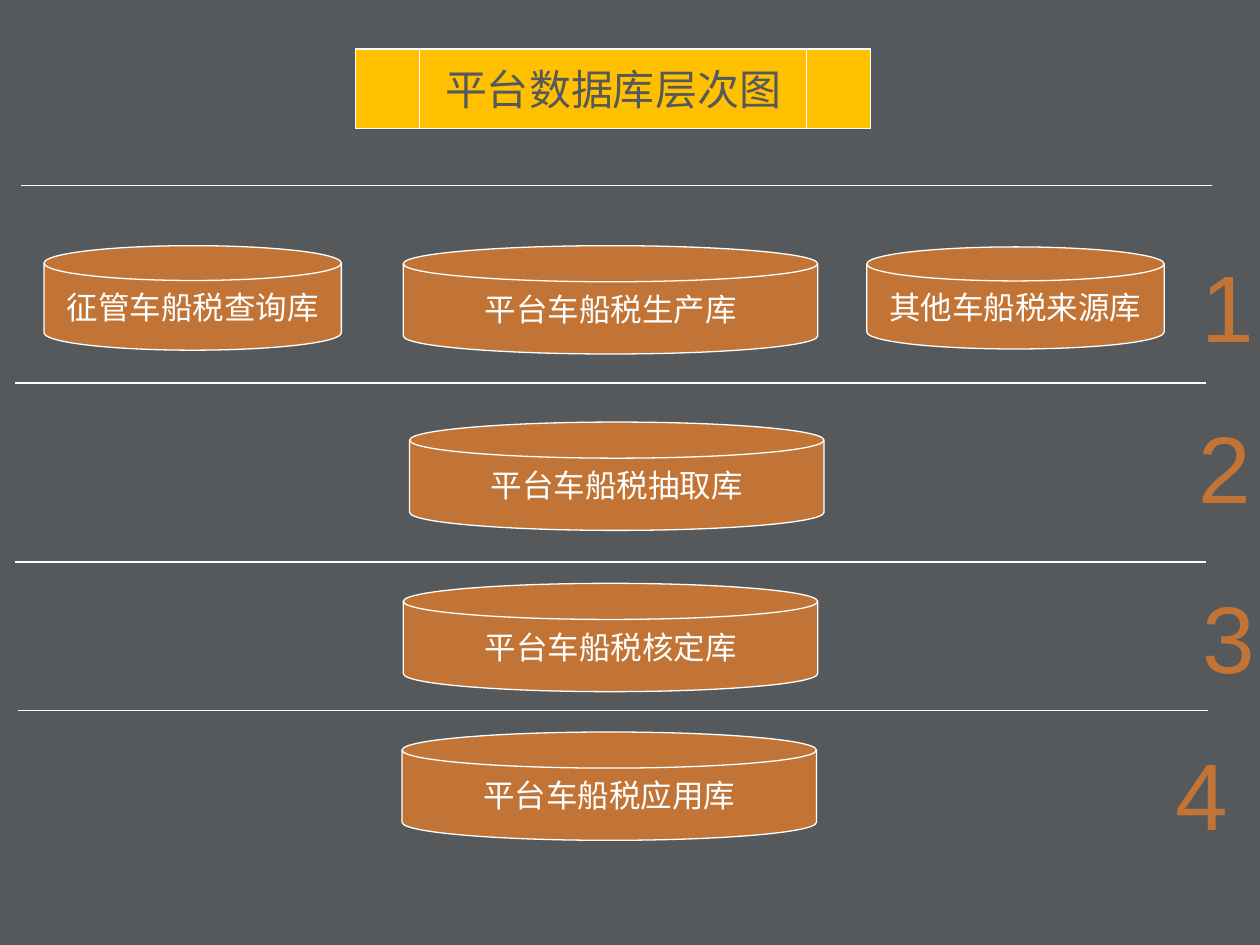
from lxml import etree
from pptx import Presentation
from pptx.dml.color import RGBColor
from pptx.enum.shapes import MSO_CONNECTOR, MSO_SHAPE
from pptx.enum.text import MSO_ANCHOR, MSO_AUTO_SIZE, PP_ALIGN
from pptx.oxml.ns import qn
from pptx.util import Inches, Pt

GREY = RGBColor(0x55, 0x59, 0x5B)
GOLD = RGBColor(0xFF, 0xC0, 0x00)
ORANGE = RGBColor(0xC1, 0x74, 0x35)
WHITE = RGBColor(0xFF, 0xFF, 0xFF)
LATIN_FONT = "Arial"
CHINESE_FONT = "Noto Sans CJK SC"
TITLE_FRAME = MSO_SHAPE.FLOWCHART_PREDEFINED_PROCESS
CYLINDER = MSO_SHAPE.FLOWCHART_MAGNETIC_DISK
STRAIGHT = MSO_CONNECTOR.STRAIGHT
MIDDLE = MSO_ANCHOR.MIDDLE
CENTER = PP_ALIGN.CENTER
GROW = MSO_AUTO_SIZE.SHAPE_TO_FIT_TEXT

LINE_WIDTH = Pt(0.75)
DIVIDER_LENGTH = 9.45
NUMBER_HEIGHT = 1

# Label, left, top, width, height
DATABASES = [
    ("平台车船税生产库", 3.2, 1.95, 3.29, 0.86),
    ("征管车船税查询库", 0.35, 1.95, 2.36, 0.83),
    ("平台车船税核定库", 3.2, 4.63, 3.29, 0.86),
    ("平台车船税抽取库", 3.25, 3.35, 3.29, 0.86),
    ("平台车船税应用库", 3.19, 5.81, 3.29, 0.86),
    ("其他车船税来源库", 6.88, 1.96, 2.36, 0.81),
]
# Left, top
DIVIDERS = [(0.12, 3.04), (0.12, 4.46), (0.14, 5.64), (0.17, 1.47)]
# Label, left, top, width, wrap
NUMBERS = [
    ("1", 9.44, 1.92, 0.43, True),
    ("2", 9.41, 3.2, 0.42, True),
    ("3", 9.54, 4.55, 0.08, True),
    ("4", 9.23, 5.79, 0.61, False),
]


def write_text(frame, text, size, color, font=LATIN_FONT):
    para = frame.paragraphs[0]
    para.alignment = CENTER
    span = para.add_run()
    span.text = text
    span.font.size = Pt(size)
    span.font.name = font
    span.font.color.rgb = color
    east_asian = etree.SubElement(span.font._element, qn("a:ea"))
    east_asian.set("typeface", CHINESE_FONT)


def add_labelled_shape(page, kind, bounds, fill, text, size, color, font=LATIN_FONT):
    shape = page.shapes.add_shape(kind, *map(Inches, bounds))
    shape.shadow.inherit = False
    shape.fill.solid()
    shape.fill.fore_color.rgb = fill
    shape.line.color.rgb = WHITE
    shape.line.width = LINE_WIDTH
    frame = shape.text_frame
    frame.word_wrap = False
    frame.vertical_anchor = MIDDLE
    write_text(frame, text, size, color, font)


def add_divider(page, left, top):
    divider = page.shapes.add_connector(
        STRAIGHT, Inches(left), Inches(top), Inches(left + DIVIDER_LENGTH), Inches(top))
    divider.line.color.rgb = WHITE
    divider.line.width = LINE_WIDTH
    etree.SubElement(divider._element.spPr, qn("a:effectLst"))


def add_number(page, text, left, top, width, wrap):
    box = page.shapes.add_textbox(
        Inches(left), Inches(top), Inches(width), Inches(NUMBER_HEIGHT))
    frame = box.text_frame
    frame.word_wrap = wrap
    frame.auto_size = GROW
    write_text(frame, text, 54, ORANGE)


def main():
    deck = Presentation()
    deck.slide_width = Inches(10)
    deck.slide_height = Inches(7.5)
    page = deck.slides.add_slide(deck.slide_layouts[6])
    page.background.fill.solid()
    page.background.fill.fore_color.rgb = GREY

    # Title
    add_labelled_shape(page, TITLE_FRAME, (2.82, 0.39, 4.09, 0.63), GOLD,
                       "平台数据库层次图", 24, GREY, CHINESE_FONT)

    # Databases on each level
    for label, *bounds in DATABASES:
        add_labelled_shape(page, CYLINDER, bounds, ORANGE, label, 18, WHITE)

    # Level dividers and numbers
    for left, top in DIVIDERS:
        add_divider(page, left, top)
    for number in NUMBERS:
        add_number(page, *number)

    deck.save("out.pptx")


if __name__ == "__main__":
    main()
